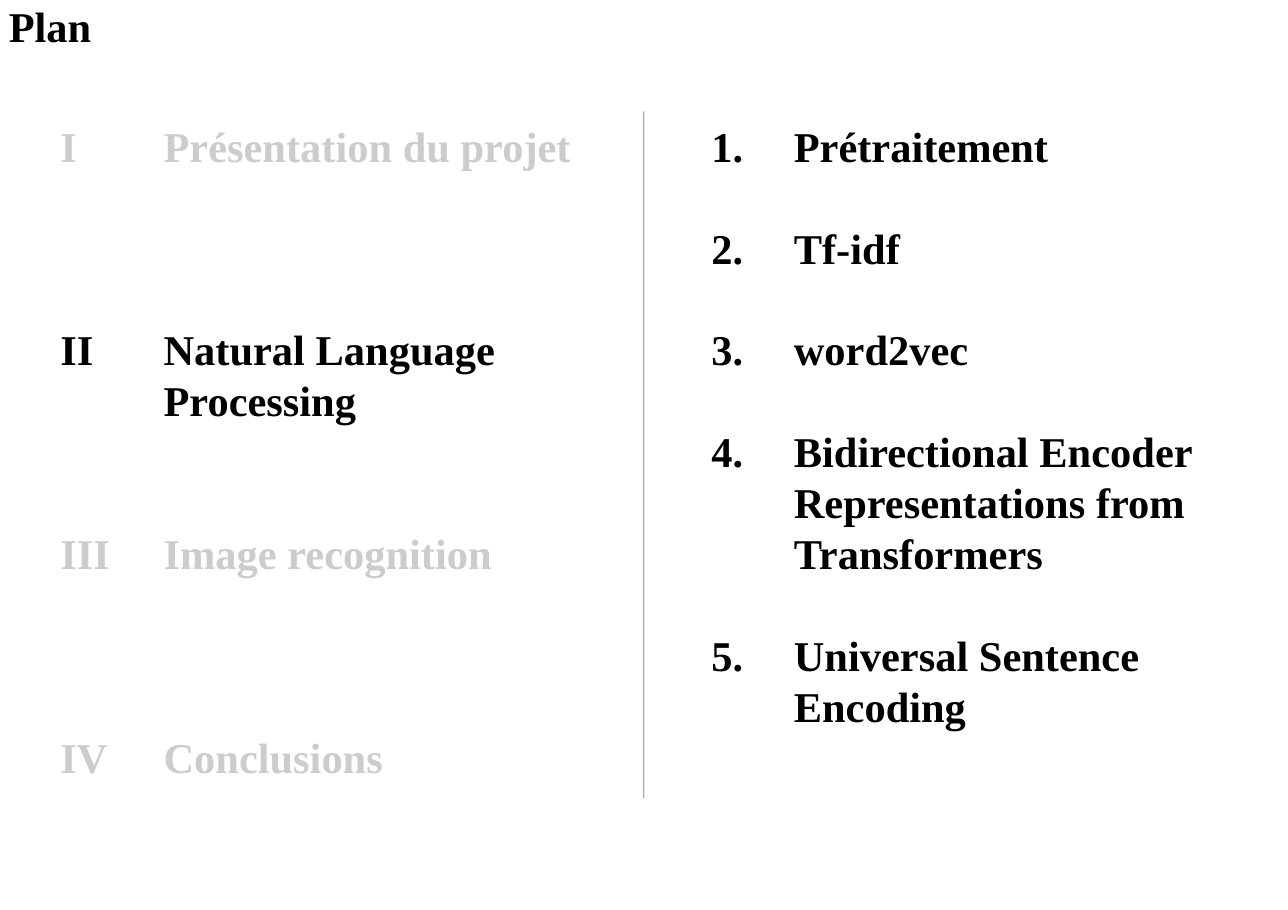
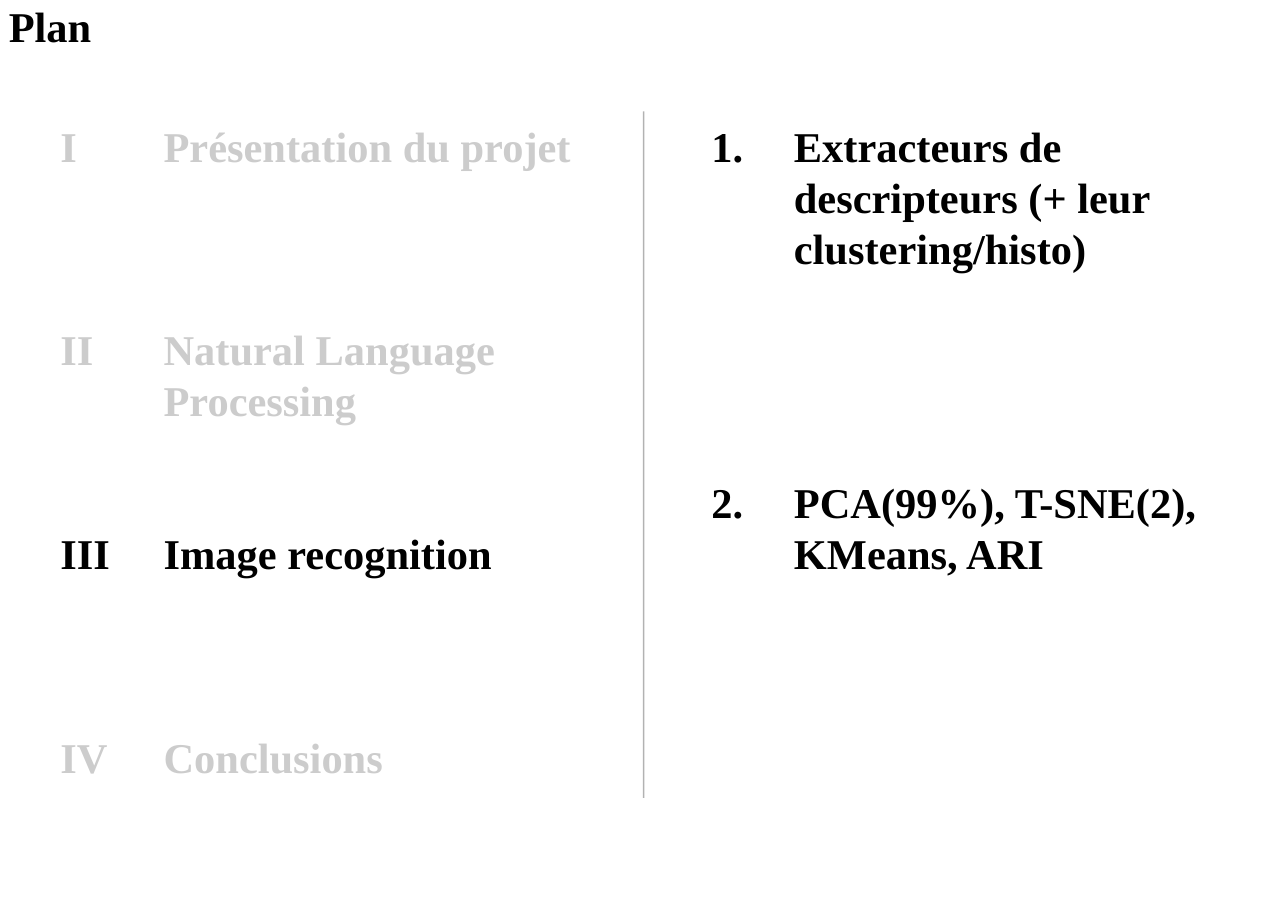
from pptx import Presentation
from pptx.dml.color import RGBColor
from pptx.enum import shapes, text
from pptx.oxml import xmlchemy
from pptx.util import Pt

LINE = 16.82
BODY_TOP = 39.6
INK, PAPER = "000000", "FFFFFF"
FRAME = {
    "margin_left": Pt(2.9), "margin_right": Pt(2.9),
    "margin_top": 0, "margin_bottom": 0, "word_wrap": True,
    "vertical_anchor": text.MSO_ANCHOR.TOP,
    "auto_size": text.MSO_AUTO_SIZE.SHAPE_TO_FIT_TEXT,
}
FONT = {"name": "Times New Roman", "size": Pt(14), "bold": True}
NUMERALS = [("I", 0), ("II", 3), ("III", 3), ("IV", 3)]
SECTIONS = [
    ("Présentation du projet", 0),
    ("Natural Language", 3),
    ("Processing", 0),
    ("Image recognition", 2),
    ("Conclusions", 3),
]
PLANS = [
    {
        "veils": [(154.8, 126), (22.3, 61.2)],
        "width": 175, "rows": 12,
        "topics": [
            ("Prétraitement", 0),
            ("Tf-idf", 1),
            ("word2vec", 1),
            ("Bidirectional Encoder Representations from Transformers", 1),
            ("Universal Sentence Encoding", 1),
        ],
    },
    {
        "veils": [(211, 90), (38.9, 117.4)],
        "width": 181.4, "rows": 9,
        "topics": [
            ("Extracteurs de descripteurs (+ leur clustering/histo)", 0),
            ("PCA(99%), T-SNE(2), KMeans, ARI", 4),
        ],
    },
]


def color(value):
    """Turn a hex string into a colour."""
    return RGBColor.from_string(value)


def apply(target, values):
    """Set every attribute in a dict of format values."""
    for name, value in values.items():
        setattr(target, name, value)


def paint(fill, value, opacity):
    """Fill with a solid colour at an opacity in percent."""
    fill.solid()
    fill.fore_color.rgb = color(value)
    alpha = xmlchemy.OxmlElement("a:alpha")
    alpha.set("val", str(opacity * 1000))
    fill._xPr.find(".//{*}srgbClr").append(alpha)


def number(para):
    """Give a paragraph an automatic number and a hanging indent."""
    props = para._p.get_or_add_pPr()
    props.set("marL", str(Pt(27.25)))
    props.set("indent", str(-Pt(27.25)))
    bullet = xmlchemy.OxmlElement("a:buAutoNum")
    bullet.set("type", "arabicPeriod")
    props.append(bullet)


def add_lines(page, left, top, width, rows, items, numbered=False):
    """Add a text box from (wording, lines of gap above) items."""
    box = page.shapes.add_textbox(Pt(left), Pt(top), Pt(width), Pt(rows * LINE))
    frame = box.text_frame
    apply(frame, FRAME)
    for index, (wording, gap) in enumerate(items):
        para = frame.add_paragraph() if index else frame.paragraphs[0]
        if numbered:
            number(para)
        apply(para, {"line_spacing": Pt(LINE), "space_before": Pt(gap * LINE)})
        span = para.add_run()
        span.text = wording
        apply(span.font, FONT)
        span.font.color.rgb = color(INK)


def add_divider(page):
    """Draw the thin rule between sections and topics."""
    rule = page.shapes.add_connector(
        shapes.MSO_CONNECTOR.STRAIGHT, Pt(212.5), Pt(36.75), Pt(212.5), Pt(263.5))
    rule.line.width = Pt(0.5)
    paint(rule.line.fill, INK, 30)
    rule._element.spPr.append(xmlchemy.OxmlElement("a:effectLst"))


def add_veil(page, top, height):
    """Fade the inactive sections behind a translucent rectangle."""
    veil = page.shapes.add_shape(
        shapes.MSO_SHAPE.RECTANGLE, Pt(11.5), Pt(top), Pt(192.2), Pt(height))
    veil.shadow.inherit = False
    veil.line.fill.background()
    paint(veil.fill, PAPER, 80)


def add_plan(deck, plan):
    """Add a plan page with one active section and its topics."""
    page = deck.slides.add_slide(deck.slide_layouts[6])
    add_lines(page, 17, BODY_TOP, 250.5, 13, NUMERALS)
    add_lines(page, 51.1, BODY_TOP, 349.2, 13, SECTIONS)
    add_lines(page, 0, 0, 250.5, 1, [("Plan", 0)])
    add_divider(page)
    for top, height in plan["veils"]:
        add_veil(page, top, height)
    add_lines(page, 232, BODY_TOP, plan["width"], plan["rows"],
              plan["topics"], numbered=True)


def main():
    """Build and save the deck."""
    deck = Presentation()
    apply(deck, {"slide_width": Pt(425.25), "slide_height": Pt(300.5)})
    for plan in PLANS:
        add_plan(deck, plan)
    deck.save("out.pptx")


if __name__ == "__main__":
    main()
